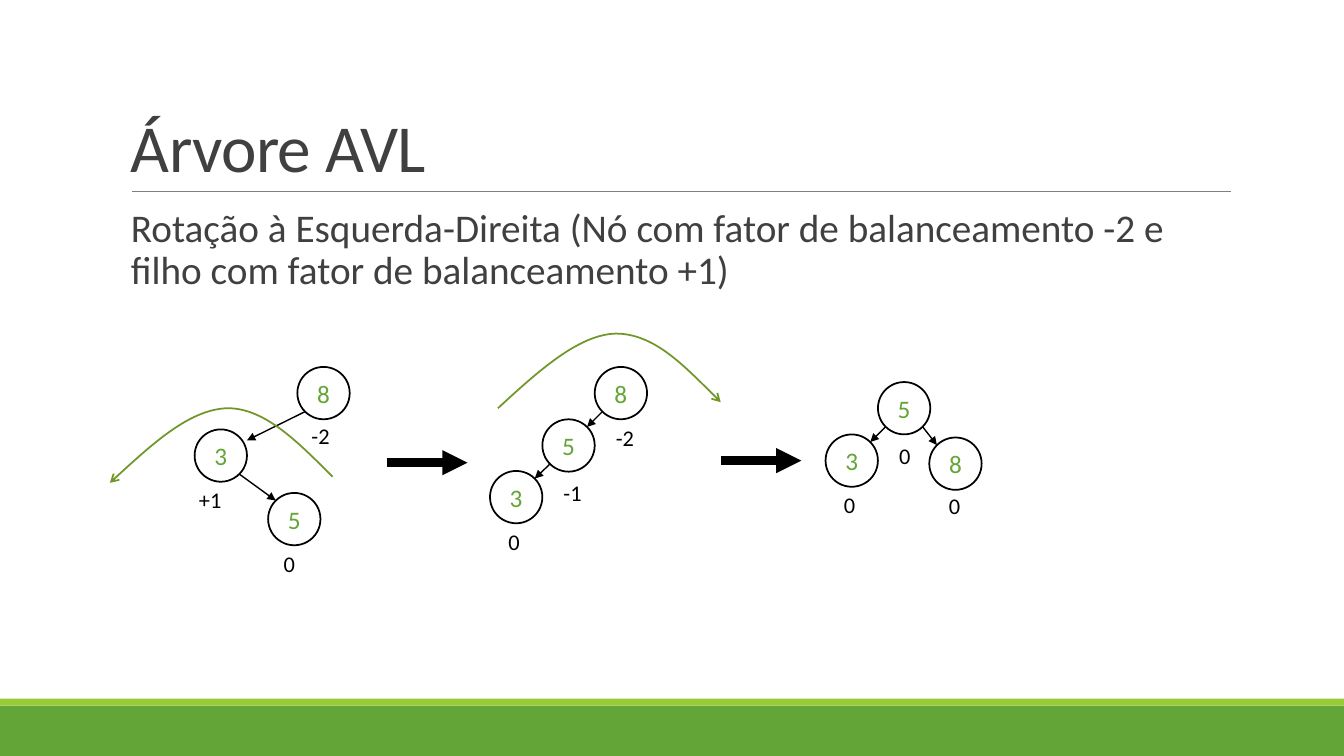
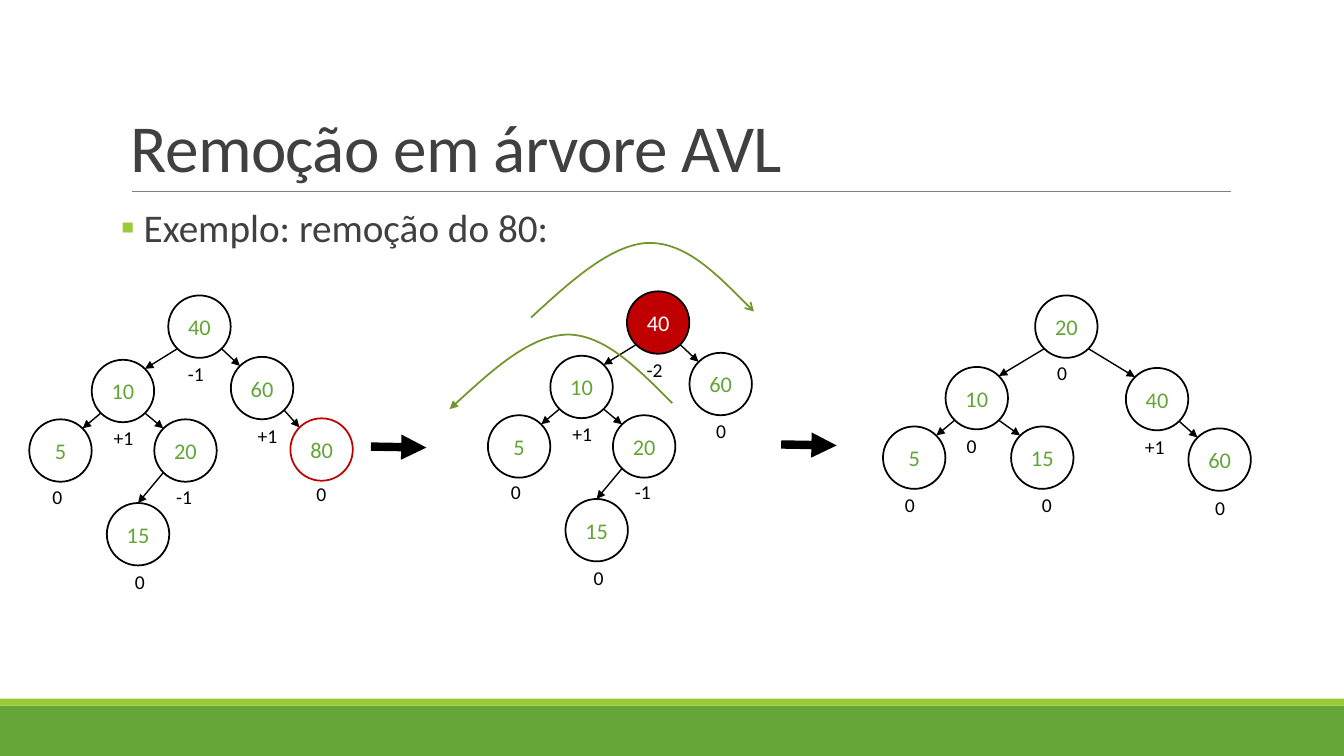
from dataclasses import dataclass

from lxml import etree
from pptx import Presentation
from pptx import util as u
from pptx.dml import color as c
from pptx.enum import shapes, text
from pptx.oxml import ns

Pt = u.Pt


@dataclass(frozen=True)
class Theme:
    font: str = "Calibri"
    heading: str = "404040"
    green: str = "63A537"
    lime: str = "99CB38"
    arc: str = "719629"
    rule: str = "808080"
    black: str = "000000"
    white: str = "FFFFFF"
    red: str = "C00000"
    title_size: int = 48
    body_size: int = 28


theme = Theme()


def write(box, content, size, color, **formats):
    """Fill a box with one styled paragraph and return it."""
    frame = box.text_frame
    frame.word_wrap = formats.pop("wrap", True)
    frame.vertical_anchor = formats.pop("anchor", text.MSO_ANCHOR.TOP)
    frame.margin_left = frame.margin_right = Pt(formats.pop("inset", 0))
    para = frame.paragraphs[0]
    for name, value in formats.items():
        setattr(para, name, value)
    span = para.add_run()
    span.text = content
    for name, value in {"name": theme.font, "size": Pt(size)}.items():
        setattr(span.font, name, value)
    span.font.color.rgb = c.RGBColor.from_string(color)
    return para


def outline(shape, color, width, **ends):
    """Style a line, with optional headEnd and tailEnd, and drop its shadow."""
    shape.line.color.rgb = c.RGBColor.from_string(color)
    shape.line.width = Pt(width)
    for end, kind in ends.items():
        etree.SubElement(shape.line._get_or_add_ln(), ns.qn("a:" + end), type=kind)
    etree.SubElement(shape._element.spPr, ns.qn("a:effectLst"))


# Trees: label -> left, top, parent, balance factor, offset of the factor
removal_tree = {
    "40": (120.2, 211, None, "-1", 7, 44),
    "10": (65.5, 257, "40", "+1", 8.6, 44),
    "60": (164.9, 254.9, "40", "+1", 12, 44),
    "5": (20.9, 299.5, "10", "0", 9.4, 43),
    "20": (110.2, 299.5, "10", "-1", 8.6, 43),
    "15": (76.3, 359.3, "20", "0", 13, 44),
    "80": (207.4, 298.8, "60", "0", 11.5, 42),
}
new_factors = {"40": "-2", "60": "0"}
unbalanced_tree = {
    label: (left + 327.6, top - 2.9, parent, new_factors.get(label, factor), dx, dy)
    for label, (left, top, parent, factor, dx, dy) in removal_tree.items()
    if label != "80"
}

slides = [
    {
        "title": "Árvore AVL",
        "body": "Rotação à Esquerda-Direita (Nó com fator de balanceamento -2 e "
                "filho com fator de balanceamento +1)",
        "bullet": None,
        "diameter": 37.4, "label_size": 18, "factor_size": 16,
        "trees": [
            {"8": (212.4, 262.1, None, "-2", 3, 36),
             "3": (139, 306.7, "8", "+1", -4, 37),
             "5": (191.5, 352.1, "3", "0", 4, 37)},
            {"8": (424.8, 262.1, None, "-2", 8, 37.4),
             "5": (387.4, 299.5, "8", "-1", 8, 39.5),
             "3": (350, 336.4, "5", "0", 6, 37.4)},
            {"5": (627.1, 272.9, None, "0", 8, 39.5),
             "3": (589.7, 310.3, "5", "0", 6, 36.7),
             "8": (663.8, 312.5, "5", "0", 7, 35.3)},
        ],
        "landings": {(0, "3"): (1, -0.58)},
        "accents": {},
        "steps": [(276.5, 330.5, 334, 330.5), (514.8, 329, 572.4, 329)],
        "arcs": [(355.7, 238.3, {"tailEnd": "arrow"}),
                 (78.5, 291.6, {"headEnd": "arrow"})],
    },
    {
        "title": "Remoção em árvore AVL",
        "body": "Exemplo: remoção do 80:",
        "bullet": "▪",
        "diameter": 44.6, "label_size": 16, "factor_size": 14,
        "trees": [
            removal_tree,
            unbalanced_tree,
            {"20": (739.4, 211, None, "0", 8.6, 43),
             "10": (675.4, 262.1, "20", "0", 8, 44.6),
             "40": (804.2, 262.8, "20", "+1", 6.5, 44),
             "5": (630.7, 304.6, "10", "0", 8.6, 44),
             "15": (722.2, 304.6, "10", "0", 15, 44),
             "60": (848.9, 306, "40", "0", 12, 44.6)},
        ],
        "landings": {(0, "15"): (0, -1), (1, "15"): (0, -1)},
        "accents": {(0, "80"): (None, theme.red, theme.green),
                    (1, "40"): (theme.red, theme.black, theme.white)},
        "steps": [(265, 319, 304.6, 319.7), (558, 317.5, 597.6, 318.2)],
        "arcs": [(379.4, 173.5, {"tailEnd": "arrow"}),
                 (321.1, 239, {"headEnd": "triangle"})],
    },
]

bands = [(504, 36, theme.green), (499, 5, theme.lime)]
arc_points = [(0, 53.3), (28.8, 26.8), (57.6, 0.7), (84.2, 0),
              (110.9, 0), (134.6, 24.5), (159.1, 49)]
factor_ems = {"0": 0.55, "+1": 1.05, "-1": 0.88, "-2": 0.88}
diagonal = 0.71

deck = Presentation()
deck.slide_width, deck.slide_height = Pt(960), Pt(540)

for content in slides:
    page = deck.slides.add_slide(deck.slide_layouts[6])
    parts = page.shapes

    # Bottom bands and title rule
    for top, height, color in bands:
        band = parts.add_shape(shapes.MSO_SHAPE.RECTANGLE, 0, Pt(top), Pt(960), Pt(height))
        band.shadow.inherit = False
        band.fill.solid()
        band.fill.fore_color.rgb = c.RGBColor.from_string(color)
        band.line.fill.background()
    rule = parts.add_connector(shapes.MSO_CONNECTOR.STRAIGHT,
                               Pt(94.3), Pt(136.8), Pt(879), Pt(136.8))
    outline(rule, theme.rule, 0.5)

    # Title
    title = parts.add_textbox(Pt(86.4), Pt(22.3), Pt(792), Pt(114.5))
    para = write(title, content["title"], theme.title_size, theme.heading, inset=7.2,
                 anchor=text.MSO_ANCHOR.BOTTOM, line_spacing=0.85)
    para.runs[0].font._element.set("spc", "-50")

    # Body
    body = parts.add_textbox(Pt(86.4), Pt(145.4), Pt(792), Pt(316.8))
    para = write(body, content["body"], theme.body_size, theme.heading,
                 line_spacing=0.9, space_after=Pt(2))
    props = para._p.get_or_add_pPr()
    indent = Pt(16.3) if content["bullet"] else 0
    props.set("marL", str(indent or Pt(7.2)))
    props.set("indent", str(-indent))
    if content["bullet"]:
        bullet_color = etree.SubElement(props, ns.qn("a:buClr"))
        etree.SubElement(bullet_color, ns.qn("a:srgbClr"), val=theme.lime)
        etree.SubElement(props, ns.qn("a:buFont"), typeface=theme.font)
        etree.SubElement(props, ns.qn("a:buChar"), char=content["bullet"])

    # Trees: nodes, balance factors and edges
    diameter = content["diameter"]
    radius = diameter / 2
    size = content["factor_size"]
    for number, tree in enumerate(content["trees"]):
        for label, (left, top, parent, factor, dx, dy) in tree.items():
            fill, border, ink = content["accents"].get(
                (number, label), (None, theme.black, theme.green))
            node = parts.add_shape(shapes.MSO_SHAPE.OVAL, Pt(left), Pt(top),
                                   Pt(diameter), Pt(diameter))
            if fill:
                node.fill.solid()
                node.fill.fore_color.rgb = c.RGBColor.from_string(fill)
            else:
                node.fill.background()
            outline(node, border, 1.25)
            write(node, label, content["label_size"], ink,
                  anchor=text.MSO_ANCHOR.MIDDLE, alignment=text.PP_ALIGN.CENTER)

            factor_box = parts.add_textbox(Pt(left + dx), Pt(top + dy),
                                           Pt(14.4 + size * factor_ems[factor]),
                                           Pt(7.2 + size * 1.22))
            write(factor_box, factor, size, theme.black, inset=7.2, wrap=False)

            if parent:
                parent_left, parent_top = tree[parent][:2]
                side = 1 if left > parent_left else -1
                end_x, end_y = content["landings"].get(
                    (number, label), (-side * diagonal, -diagonal))
                edge = parts.add_connector(
                    shapes.MSO_CONNECTOR.STRAIGHT,
                    Pt(parent_left + radius * (1 + side * diagonal)),
                    Pt(parent_top + radius * (1 + diagonal)),
                    Pt(left + radius * (1 + end_x)), Pt(top + radius * (1 + end_y)))
                outline(edge, theme.black, 1, tailEnd="triangle")

    # Thick arrows between the trees
    for ends in content["steps"]:
        step = parts.add_connector(shapes.MSO_CONNECTOR.STRAIGHT, *map(Pt, ends))
        outline(step, theme.black, 6, tailEnd="triangle")

    # Rotation arcs: each three points become one Bézier segment
    for left, top, heads in content["arcs"]:
        points = [(Pt(left + x), Pt(top + y)) for x, y in arc_points]
        builder = parts.build_freeform(*points[0])
        builder.add_line_segments(points[1:], close=False)
        arc = builder.convert_to_shape()
        segments = list(arc._element.iter(ns.qn("a:lnTo")))
        for start in range(0, len(segments), 3):
            curve = etree.Element(ns.qn("a:cubicBezTo"))
            segments[start].addprevious(curve)
            for segment in segments[start:start + 3]:
                curve.append(segment[0])
                segment.getparent().remove(segment)
        arc.fill.background()
        outline(arc, theme.arc, 1.25, **heads)

deck.save("out.pptx")
